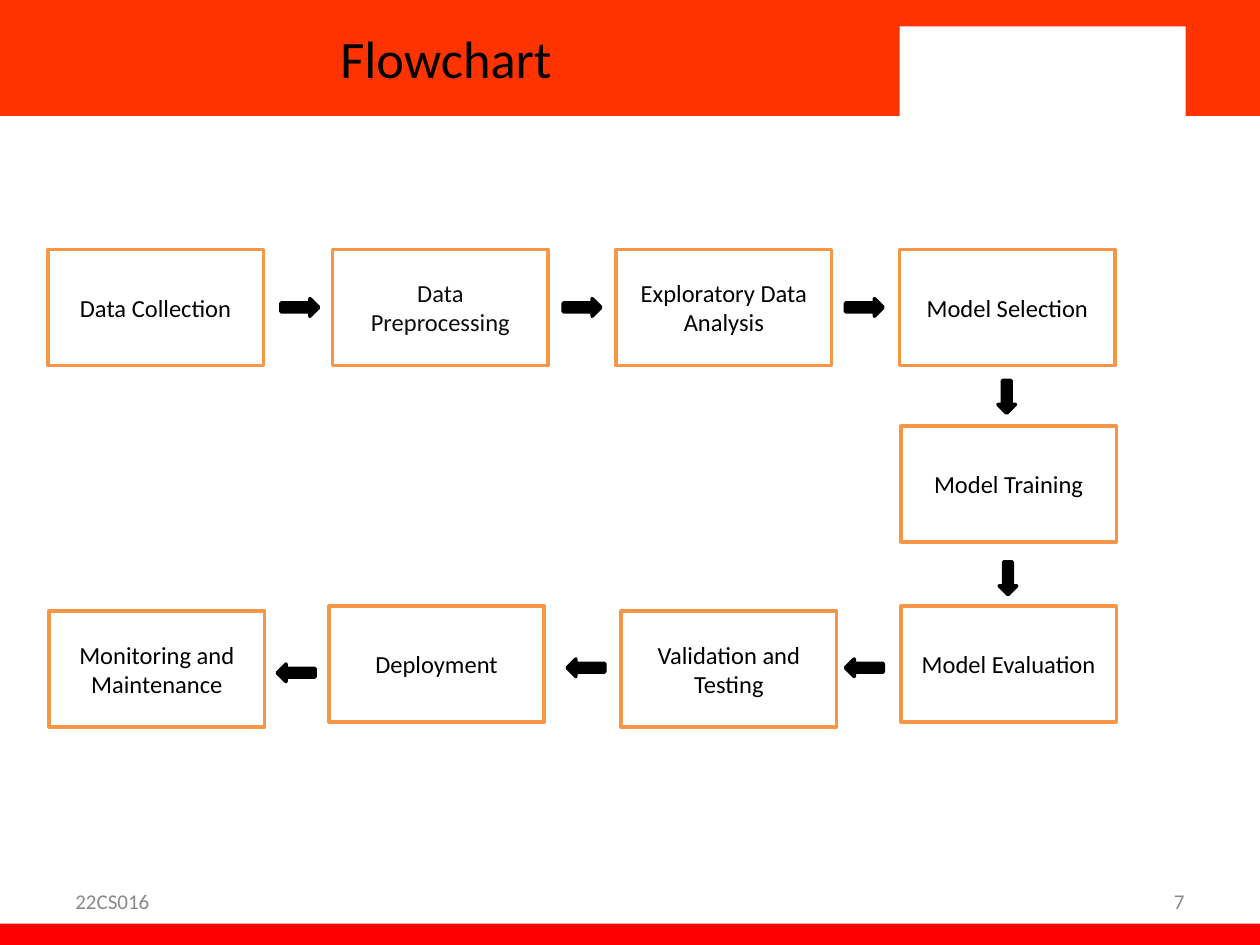
from dataclasses import dataclass

from pptx import Presentation
from pptx.dml.color import RGBColor
from pptx.enum.shapes import MSO_SHAPE as Shape
from pptx.enum.text import MSO_ANCHOR as Anchor, PP_ALIGN as Align
from pptx.util import Inches, Pt

FONT = "Calibri"
BOX_W, BOX_H = 1.71, 0.92
ARROW_W, ARROW_L = 0.14, 0.3
DOWN, LEFT, RIGHT = 0, 90, 270


@dataclass
class Step:
    text: str
    x: float
    y: float
    color: str = "000000"


@dataclass
class Arrow:
    x: float  # centre
    y: float
    turn: int
    size: float = ARROW_L


STEPS = [
    Step("Data Collection", 0.38, 1.98),
    Step("Data Preprocessing", 2.64, 1.98, "0D0D0D"),
    Step("Exploratory Data Analysis", 4.89, 1.98),
    Step("Model Selection", 7.14, 1.98),
    Step("Model Training", 7.15, 3.38),
    Step("Model Evaluation", 7.15, 4.81),
    Step("Validation and Testing", 4.93, 4.85),
    Step("Deployment", 2.61, 4.81),
    Step("Monitoring and Maintenance", 0.39, 4.85),
]
ARROWS = [
    Arrow(2.38, 2.44, RIGHT),
    Arrow(4.62, 2.44, RIGHT),
    Arrow(6.86, 2.44, RIGHT),
    Arrow(7.99, 3.15, DOWN, 0.26),
    Arrow(8.0, 4.59, DOWN, 0.26),
    Arrow(6.86, 5.3, LEFT),
    Arrow(4.65, 5.3, LEFT),
    Arrow(2.35, 5.34, LEFT),
]


def rgb(code: str) -> RGBColor:
    return RGBColor.from_string(code)


def write(shape, text: str, size: int, color: str, align: Align) -> None:
    frame = shape.text_frame
    frame.text = text
    frame.word_wrap = True
    frame.vertical_anchor = Anchor.MIDDLE
    para = frame.paragraphs[0]
    para.alignment = align
    para.font.name = FONT
    para.font.size = Pt(size)
    para.font.color.rgb = rgb(color)


def draw(slide, kind: Shape, x: float, y: float, w: float, h: float,
         fill: str, line: str = ""):
    shape = slide.shapes.add_shape(kind, Inches(x), Inches(y), Inches(w), Inches(h))
    shape.shadow.inherit = False
    shape.fill.solid()
    shape.fill.fore_color.rgb = rgb(fill)
    if line:
        shape.line.color.rgb = rgb(line)
        shape.line.width = Pt(2)
    else:
        shape.line.fill.background()
    return shape


def draw_step(slide, step: Step) -> None:
    box = draw(slide, Shape.RECTANGLE, step.x, step.y, BOX_W, BOX_H, "FFFFFF", "F79646")
    write(box, step.text, 14, step.color, Align.CENTER)


def draw_arrow(slide, arrow: Arrow) -> None:
    shape = draw(slide, Shape.DOWN_ARROW, arrow.x - ARROW_W / 2,
                 arrow.y - arrow.size / 2, ARROW_W, arrow.size, "000000", "000000")
    shape.rotation = arrow.turn


def add_note(slide, text: str, x: float, align: Align) -> None:
    box = slide.shapes.add_textbox(Inches(x), Inches(6.95), Inches(2.33), Inches(0.4))
    write(box, text, 12, "898989", align)


def main() -> None:
    deck = Presentation()
    deck.slide_width, deck.slide_height = Inches(10), Inches(7.5)
    slide = deck.slides.add_slide(deck.slide_layouts[5])

    # Header band with its white panel, and footer band
    draw(slide, Shape.RECTANGLE, 0, 0, 10, 0.92, "FF3300")
    draw(slide, Shape.RECTANGLE, 7.14, 0.21, 2.27, 0.75, "FFFFFF")
    draw(slide, Shape.RECTANGLE, 0, 7.33, 10, 0.17, "FF0000")

    # Footer texts
    add_note(slide, "22CS016", 0.5, Align.LEFT)
    add_note(slide, "7", 7.17, Align.RIGHT)

    # Flowchart
    for step in STEPS:
        draw_step(slide, step)
    for arrow in ARROWS:
        draw_arrow(slide, arrow)

    # Title, brought in front of the header band
    title = slide.shapes.title
    title.left, title.top = Inches(0), Inches(0)
    title.width, title.height = Inches(7.08), Inches(0.92)
    write(title, "Flowchart", 30, "000000", Align.CENTER)
    title.element.getparent().append(title.element)

    deck.save("out.pptx")


if __name__ == "__main__":
    main()
